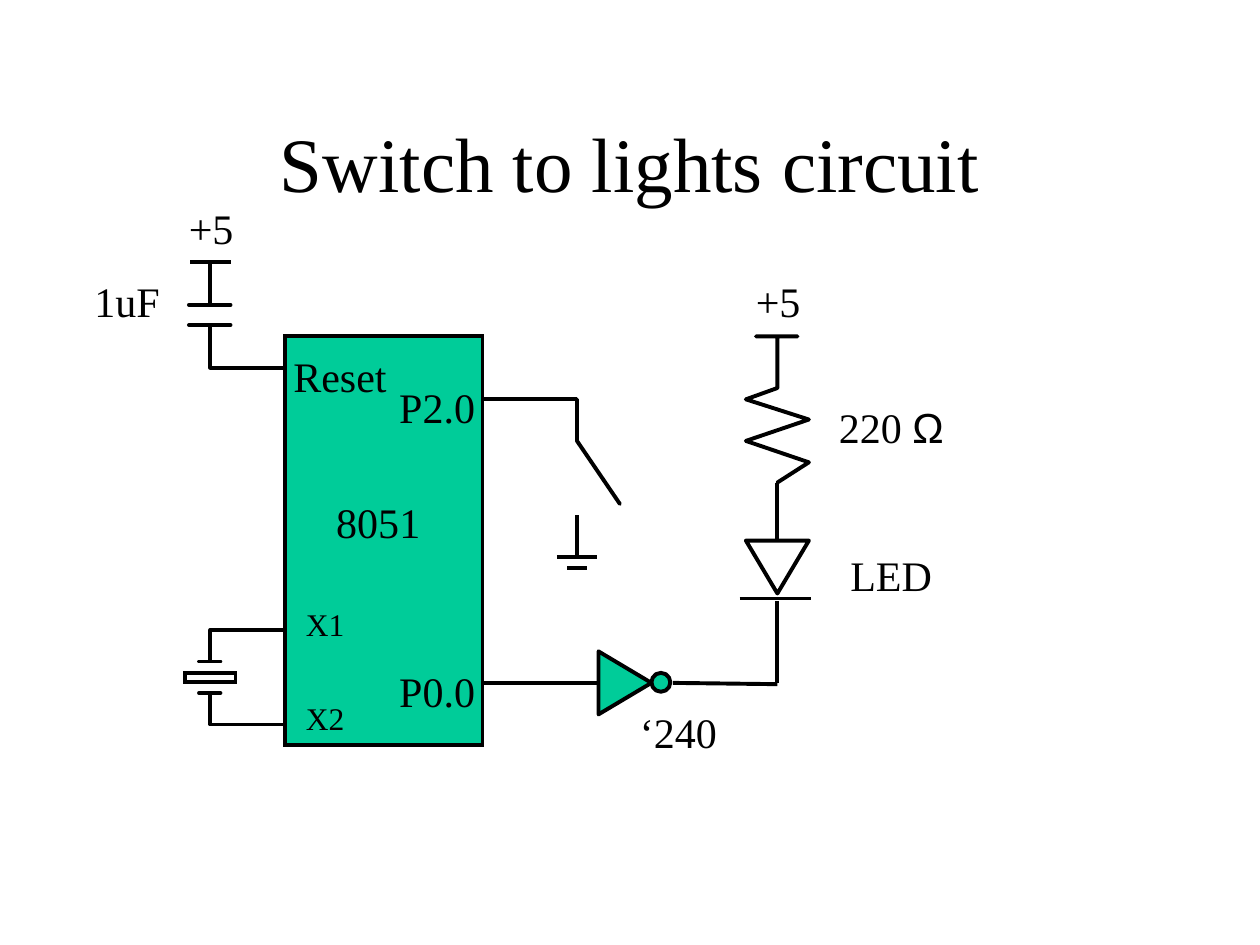
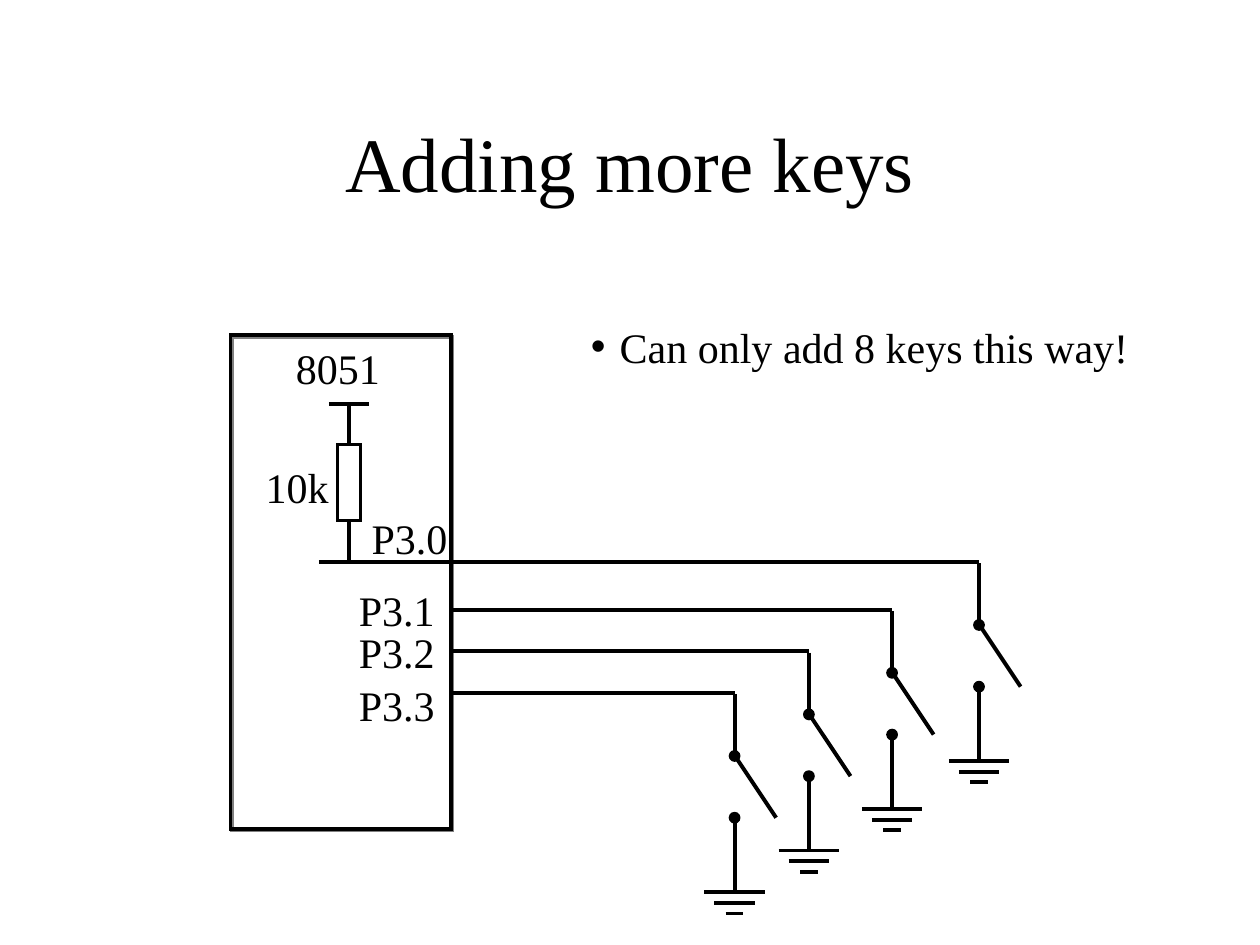
from lxml import etree
from pptx import Presentation
from pptx.dml.color import RGBColor
from pptx.enum.shapes import MSO_SHAPE as Shape
from pptx.enum.text import MSO_ANCHOR as Anchor, MSO_AUTO_SIZE as Auto, PP_ALIGN as Align
from pptx.oxml.ns import qn
from pptx.util import Inches, Pt

BLACK, GREEN, GRAY = "000000", "00CC99", "808080"
FONT, SYMBOL = "Times New Roman", "Arial"
LINE = 2.25
TITLE = {"at": (0.75, 0.66, 8.5, 1.25), "size": 44}
LABEL, PIN = {"size": 24}, {"size": 18}

# Labels: text, left, top, width, height, format
LIGHTS = {
    "title": "Switch to lights circuit",
    "labels": [
        ("220 Ω", 6.56, 3.14, 1.06, 0.5, LABEL),
        ("+5", 5.9, 2.14, 0.58, 0.5, LABEL),
        ("LED", 6.65, 4.31, 0.87, 0.5, LABEL),
        ("‘240", 4.98, 5.56, 0.83, 0.5, LABEL),
        ("8051", 2.57, 3.89, 0.89, 0.5, LABEL),
        ("P2.0", 3.07, 2.98, 0.82, 0.5, LABEL),
        ("P0.0", 3.07, 5.23, 0.82, 0.5, LABEL),
        ("+5", 1.4, 1.56, 0.58, 0.5, LABEL),
        ("Reset", 2.23, 2.73, 0.96, 0.5, LABEL),
        ("1uF", 0.65, 2.14, 0.74, 0.5, LABEL),
        ("X1", 2.33, 4.75, 0.53, 0.4, PIN),
        ("X2", 2.33, 5.5, 0.53, 0.4, PIN),
    ],
    "wires": [
        (3.84, 3.17, 4.58, 3.17), (3.84, 5.42, 4.74, 5.42),
        (5.34, 5.42, 6.17, 5.43), (5.87, 4.75, 6.44, 4.75),
        (6.17, 4.77, 6.17, 5.42), (6.17, 4.28, 6.17, 3.83),
        (1.51, 2.08, 1.83, 2.08), (1.67, 2.92, 2.25, 2.92),
    ],
    "paths": {
        "switch": [(4.58, 3.17), (4.58, 3.5), (4.92, 4)],
        "resistor": [(6.17, 3.83), (6.42, 3.67), (5.92, 3.5), (6.42, 3.33), (5.92, 3.17),
                     (6.17, 3.08), (6.17, 2.67), (6.33, 2.67), (6, 2.67)],
        "low plate": [(1.67, 2.92), (1.67, 2.58), (1.5, 2.58), (1.83, 2.58)],
        "top plate": [(1.67, 2.08), (1.67, 2.42), (1.83, 2.42), (1.5, 2.42)],
        "crystal X1": [(2.25, 5), (1.67, 5), (1.67, 5.25), (1.75, 5.25), (1.58, 5.25)],
        "crystal X2": [(2.25, 5.75), (1.67, 5.75), (1.67, 5.5), (1.75, 5.5), (1.58, 5.5)],
    },
    "inverter": [(4.75, 5.17), (4.75, 5.67), (5.17, 5.42)],
    "diode": [(6.42, 4.29), (5.92, 4.29), (6.17, 4.71)],
}
KEYS = {
    "title": "Adding more keys",
    "labels": [("10k", 2.01, 3.61, 0.72, 0.5, LABEL), ("8051", 2.25, 2.67, 0.89, 0.5, LABEL)],
    # Pin, label left, label top, wire start, switch x, switch y
    "pins": [
        ("P3.0", 2.85, 4.02, 2.53, 7.77, 4.47),
        ("P3.1", 2.75, 4.59, 3.59, 7.08, 4.85),
        ("P3.2", 2.75, 4.92, 3.59, 6.42, 5.18),
        ("P3.3", 2.75, 5.34, 3.59, 5.83, 5.51),
    ],
    "note": "Can only add 8 keys this way!",
}


def color(code):
    return RGBColor.from_string(code)


def tag(parent, name, **attrs):
    return etree.SubElement(parent, qn(name), attrs)


def text(slide, words, at, size, **frame):
    """Add a text box whose frame attributes come from keywords."""
    box = slide.shapes.add_textbox(*map(Inches, at))
    for name, value in frame.items():
        setattr(box.text_frame, name, value)
    para = box.text_frame.paragraphs[0]
    for part in words.replace("Ω", "|Ω").split("|"):
        run = para.add_run()
        run.text = part
        look = {"name": SYMBOL if part == "Ω" else FONT, "size": Pt(size)}
        for name, value in look.items():
            setattr(run.font, name, value)
        run.font.color.rgb = color(BLACK)
    return para


def style(shape, fill=None, width=LINE):
    shape.shadow.inherit = False
    if fill:
        shape.fill.solid()
        shape.fill.fore_color.rgb = color(fill)
    else:
        shape.fill.background()
    shape.line.color.rgb = color(BLACK)
    shape.line.width = Pt(width)
    return shape


def block(shapes, kind, at, fill=None, width=LINE):
    shape = style(shapes.add_shape(kind, *map(Inches, at)), fill, width)
    if kind == Shape.RECTANGLE:
        tag(shape.line._get_or_add_ln(), "a:miter", lim="800000")
    return shape


def path(slide, points, close=False, fill=None):
    spots = [(Inches(x), Inches(y)) for x, y in points]
    pen = slide.shapes.build_freeform(*spots[0])
    pen.add_line_segments(spots[1:], close=close)
    shape = style(pen.convert_to_shape(), fill)
    shape.line._get_or_add_ln().set("cap", "rnd")


def wire(shapes, x1, y1, x2, y2):
    line = shapes.add_connector(1, *map(Inches, (x1, y1, x2, y2)))
    line.line.color.rgb = color(BLACK)
    line.line.width = Pt(LINE)
    tag(line._element.spPr, "a:effectLst")
    return line


def ground(shapes, x, y, halves):
    for i, half in enumerate(halves):
        level = y + i * 0.085
        wire(shapes, x - half, level, x + half, level)


def switch(slide, x, y):
    """Draw a key with its two contacts and its ground."""
    group = slide.shapes.add_group_shape().shapes
    wire(group, x, y, x, y + 0.48)
    wire(group, x + 0.01, y + 0.5, x + 0.33, y + 0.98)
    wire(group, x, y + 1, x, y + 1.57)
    ground(group, x, y + 1.57, (0.24, 0.16, 0.07))
    for drop in (0.45, 0.94):
        block(group, Shape.OVAL, (x - 0.04, y + drop, 0.08, 0.08), BLACK, 1)


def label(slide, words, x, y, w, h, look):
    text(slide, words, (x, y, w, h), **look, word_wrap=False, auto_size=Auto.SHAPE_TO_FIT_TEXT)


def start(deck, data):
    slide = deck.slides.add_slide(deck.slide_layouts[6])
    para = text(slide, data["title"], **TITLE, word_wrap=True, vertical_anchor=Anchor.MIDDLE)
    para.alignment = Align.CENTER
    return slide


def lights(deck):
    slide = start(deck, LIGHTS)
    shapes = slide.shapes
    block(shapes, Shape.RECTANGLE, (2.26, 2.67, 1.57, 3.24), GREEN)
    block(shapes, Shape.RECTANGLE, (1.47, 5.34, 0.4, 0.07))
    for ends in LIGHTS["wires"]:
        wire(shapes, *ends)
    for points in LIGHTS["paths"].values():
        path(slide, points)
    path(slide, LIGHTS["inverter"], True, GREEN)
    path(slide, LIGHTS["diode"], True)
    block(shapes, Shape.OVAL, (5.17, 5.34, 0.15, 0.15), GREEN)
    wire(shapes, 4.58, 4.09, 4.58, 4.41)
    ground(shapes, 4.58, 4.42, (0.16, 0.08))
    for item in LIGHTS["labels"]:
        label(slide, *item)


def keys(deck):
    slide = start(deck, KEYS)
    shapes = slide.shapes
    chip = block(shapes, Shape.RECTANGLE, (1.83, 2.66, 1.75, 3.92), width=2)
    effects = chip._element.spPr.find(qn("a:effectLst"))
    shade = tag(effects, "a:outerShdw", dist=str(Pt(1.4)), dir="2700000", algn="ctr", rotWithShape="0")
    tag(shade, "a:srgbClr", val=GRAY)

    pull = block(shapes, Shape.RECTANGLE, (2.68, 3.53, 0.18, 0.6), width=2)
    wire(shapes, 2.77, 3.53, 2.77, 3.2).begin_connect(pull, 0)
    wire(shapes, 2.77, 4.13, 2.77, 4.45).begin_connect(pull, 2)
    wire(shapes, 2.61, 3.21, 2.93, 3.21)

    for pin, left, top, begin, x, y in KEYS["pins"]:
        wire(shapes, begin, y - 0.01, x, y - 0.01)
        switch(slide, x, y)
        label(slide, pin, left, top, 0.82, 0.5, LABEL)
    for item in KEYS["labels"]:
        label(slide, *item)

    note = text(slide, KEYS["note"], (4.59, 2.5, 4.75, 0.5), **LABEL,
                word_wrap=True, auto_size=Auto.SHAPE_TO_FIT_TEXT)
    props = note._p.get_or_add_pPr()
    props.set("marL", str(Inches(0.23)))
    props.set("indent", str(-Inches(0.23)))
    tag(tag(props, "a:buClr"), "a:srgbClr", val=BLACK)
    tag(props, "a:buFont", typeface=SYMBOL)
    tag(props, "a:buChar", char="•")


def main():
    deck = Presentation()
    deck.slide_width, deck.slide_height = Inches(10), Inches(7.5)
    lights(deck)
    keys(deck)
    deck.save("out.pptx")


if __name__ == "__main__":
    main()
